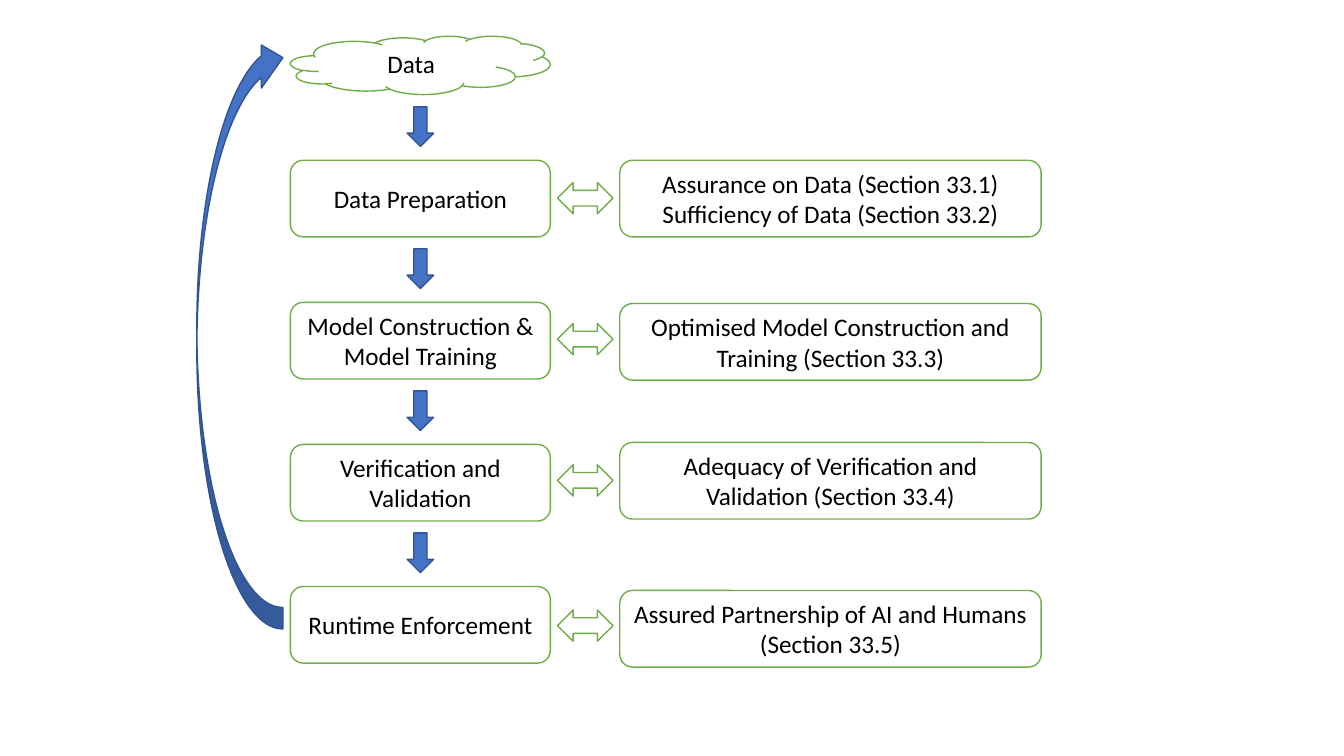
from pptx import Presentation
from pptx.dml.color import RGBColor
from pptx.enum.shapes import MSO_SHAPE as Kind
from pptx.enum.text import MSO_ANCHOR as Anchor, PP_ALIGN as Align
from pptx.util import Cm, Pt

# Content: stage, its assurance lines, top of the assurance box, top of the link (cm)
START = "Data"
STAGES = [
    ("Data Preparation",
     ["Assurance on Data (Section 33.1)", "Sufficiency of Data (Section 33.2)"], 4.04, 4.6),
    ("Model Construction & Model Training",
     ["Optimised Model Construction and Training (Section 33.3)"], 7.65, 8.15),
    ("Verification and Validation",
     ["Adequacy of Verification and Validation (Section 33.4)"], 11.15, 11.71),
    ("Runtime Enforcement",
     ["Assured Partnership of AI and Humans (Section 33.5)"], 14.88, 15.37),
]

# Colours
WHITE = RGBColor(0xFF, 0xFF, 0xFF)
BLACK = RGBColor(0x00, 0x00, 0x00)
GREEN = RGBColor(0x70, 0xAD, 0x47)
BLUE = RGBColor(0x44, 0x72, 0xC4)
NAVY = RGBColor(0x32, 0x54, 0x91)

# Layout in cm
LEFT, WIDTH = 7.32, 6.55
RIGHT, WIDE = 15.62, 10.62
TOP, HIGH, STEP = 4.04, 1.93, 3.58
DOWN_TOP, DOWN_W, DOWN_H = 2.69, 0.67, 1.0
LINK_X, LINK_W, LINK_H = 14.05, 1.4, 0.79

deck = Presentation()
deck.slide_width, deck.slide_height = Cm(33.87), Cm(19.05)
slide = deck.slides.add_slide(deck.slide_layouts[6])


def draw(kind, x, y, w, h, fill=WHITE, line=GREEN, lines=()):
    shape = slide.shapes.add_shape(kind, Cm(x), Cm(y), Cm(w), Cm(h))
    shape.shadow.inherit = False
    shape.fill.solid()
    shape.fill.fore_color.rgb = fill
    shape.line.color.rgb = line
    shape.line.width = Pt(1)
    frame = shape.text_frame
    frame.word_wrap = True
    frame.vertical_anchor = Anchor.MIDDLE
    for i, text in enumerate(lines):
        para = frame.add_paragraph() if i else frame.paragraphs[0]
        para.alignment = Align.CENTER
        run = para.add_run()
        run.text = text
        run.font.name = "Calibri"
        run.font.size = Pt(18)
        run.font.color.rgb = BLACK
    return shape


# Starting cloud
draw(Kind.CLOUD, LEFT, 0.91, WIDTH, 1.47, lines=[START])

# Stages, each with the arrow above it and the assurance beside it
for i, (stage, notes, note_y, link_y) in enumerate(STAGES):
    drop = i * STEP
    draw(Kind.ROUNDED_RECTANGLE, LEFT, TOP + drop, WIDTH, HIGH, lines=[stage])
    draw(Kind.ROUNDED_RECTANGLE, RIGHT, note_y, WIDE, HIGH, lines=notes)
    draw(Kind.DOWN_ARROW, LEFT + (WIDTH - DOWN_W) / 2, DOWN_TOP + drop,
         DOWN_W, DOWN_H, BLUE, NAVY)
    draw(Kind.LEFT_RIGHT_ARROW, LINK_X, link_y, LINK_W, LINK_H)

# Feedback arrow from the last stage to the data
loop = draw(Kind.CURVED_LEFT_ARROW, 4.96, 0.91, 2.17, 14.94, BLUE, NAVY)
loop.rotation = 180

deck.save("out.pptx")
